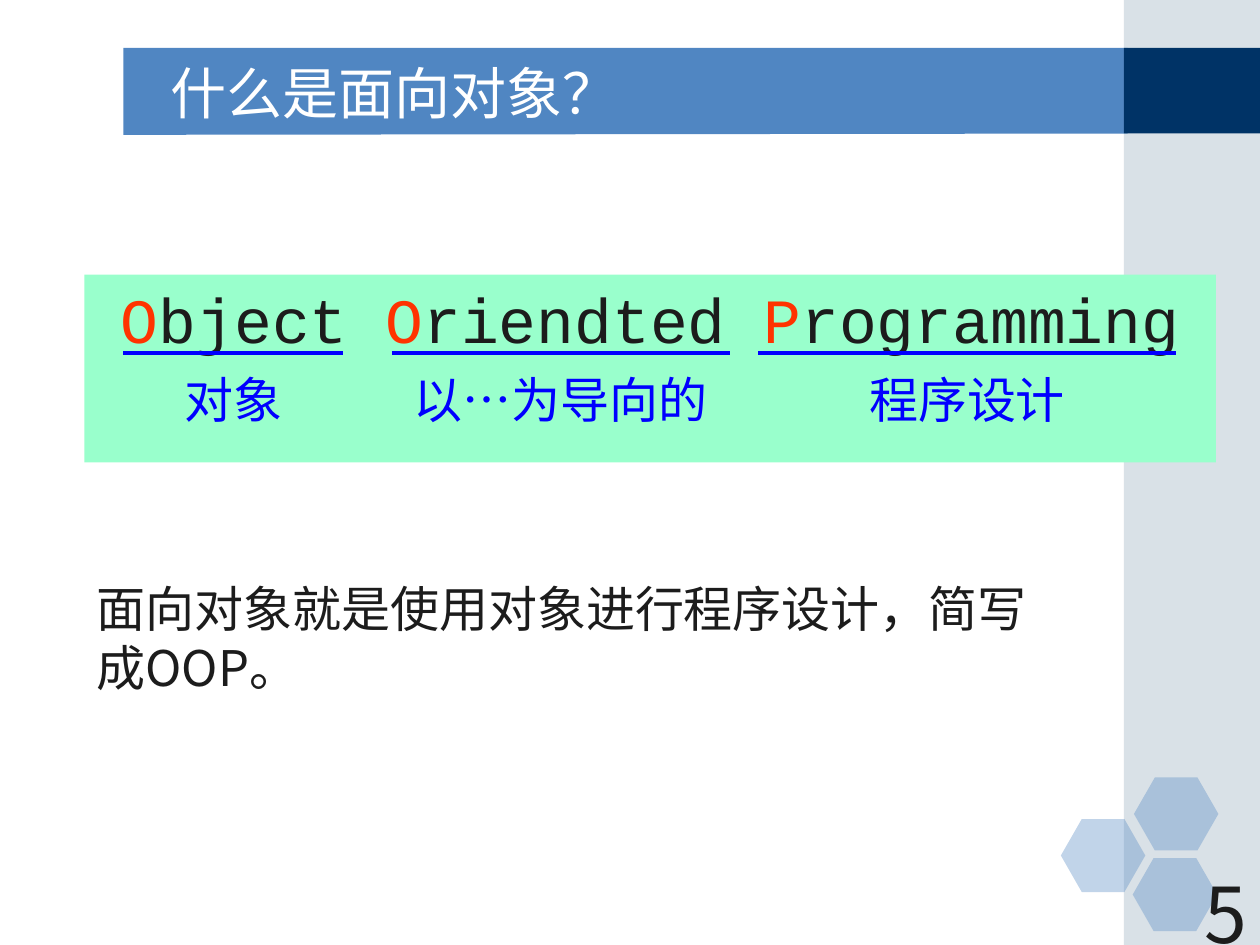
from lxml.etree import SubElement
from pptx import Presentation
from pptx.dml.color import RGBColor
from pptx.enum.shapes import MSO_CONNECTOR, MSO_SHAPE
from pptx.enum.text import MSO_ANCHOR, PP_ALIGN
from pptx.oxml.ns import qn
from pptx.util import Inches, Pt

deck = Presentation()
deck.slide_width, deck.slide_height = Inches(10), Inches(7.5)
slide = deck.slides.add_slide(deck.slide_layouts[5])
shapes = slide.shapes


def paint(item, color, alpha=None):
    item.shadow.inherit = False
    item.fill.solid()
    item.fill.fore_color.rgb = RGBColor.from_string(color)
    item.line.fill.background()
    if alpha:
        tint = item.fill._xPr.find(qn("a:solidFill"))[0]
        SubElement(tint, qn("a:alpha"), val=str(alpha * 1000))


def write(frame, lines, size, font, color, align=PP_ALIGN.LEFT):
    frame.word_wrap = True
    frame.text = "\n".join(lines)
    for para in frame.paragraphs:
        para.alignment = align
        for run in para.runs:
            run.font.size = Pt(size)
            run.font.name = font
            run.font.color.rgb = RGBColor.from_string(color)


pen = shapes.build_freeform(Inches(0.98), Inches(0.38))
pen.add_line_segments([(Inches(x), Inches(y)) for x, y in
                       [(8.95, 0.38), (8.95, 1.06), (0.98, 1.07)]])
paint(pen.convert_to_shape(), "5086C2")

for top, height, color, alpha in [(0, 7.5, "A0B5C4", 40), (0.38, 0.68, "003366", None)]:
    band = shapes.add_shape(MSO_SHAPE.RECTANGLE, Inches(8.92), Inches(top),
                            Inches(1.08), Inches(height))
    paint(band, color, alpha)

for left, top in [(8.42, 6.5), (9, 6.17), (8.99, 6.81)]:
    cell = shapes.add_shape(MSO_SHAPE.HEXAGON, Inches(left), Inches(top),
                            Inches(0.67), Inches(0.58))
    cell.adjustments[0] = 0.286
    paint(cell, "5086C2", 35)

title = shapes.title
title.left, title.top = Inches(1.25), Inches(0.42)
title.width, title.height = Inches(7.33), Inches(0.62)
title.text_frame.vertical_anchor = MSO_ANCHOR.MIDDLE
write(title.text_frame, ["什么是面向对象？"], 32, "Arial", "FFFFFF")
shapes._spTree.append(title._element)

page = shapes.add_textbox(Inches(7.92), Inches(6.83), Inches(2.08), Inches(0.5))
write(page.text_frame, ["5"], 44, "Noto Sans CJK SC", "1C1C1C", PP_ALIGN.RIGHT)

panel = shapes.add_shape(MSO_SHAPE.RECTANGLE, Inches(0.67), Inches(2.18),
                         Inches(8.98), Inches(1.49))
paint(panel, "99FFCC")
panel.text_frame.vertical_anchor = MSO_ANCHOR.TOP
head = panel.text_frame.paragraphs[0]
head.alignment = PP_ALIGN.CENTER
for text, color in [("O", "FF3300"), ("bject ", "1C1C1C"),
                    ("O", "FF3300"), ("riendted ", "1C1C1C"),
                    ("P", "FF3300"), ("rogramming", "1C1C1C")]:
    run = head.add_run()
    run.text = text
    run.font.size = Pt(36)
    run.font.name = "Courier New"
    run.font.color.rgb = RGBColor.from_string(color)

for text, left, width in [("对象", 0.98, 1.74), ("以…为导向的", 3.11, 2.68),
                          ("程序设计", 6.02, 3.31)]:
    rule = shapes.add_connector(MSO_CONNECTOR.STRAIGHT, Inches(left), Inches(2.8),
                                Inches(left + width), Inches(2.8))
    rule.line.color.rgb = RGBColor.from_string("0000FF")
    rule.line.width = Pt(2.25)
    SubElement(rule._element.spPr, qn("a:effectLst"))
    gloss = shapes.add_textbox(Inches(left), Inches(2.88), Inches(width), Inches(0.57))
    write(gloss.text_frame, [text], 28, "Courier New", "0000FF", PP_ALIGN.CENTER)

body = shapes.add_textbox(Inches(0.67), Inches(4.54), Inches(9.06), Inches(1.04))
write(body.text_frame, ["面向对象就是使用对象进行程序设计，简写", "成OOP。"],
      28, "Noto Sans CJK SC", "1C1C1C")

deck.save("out.pptx")
